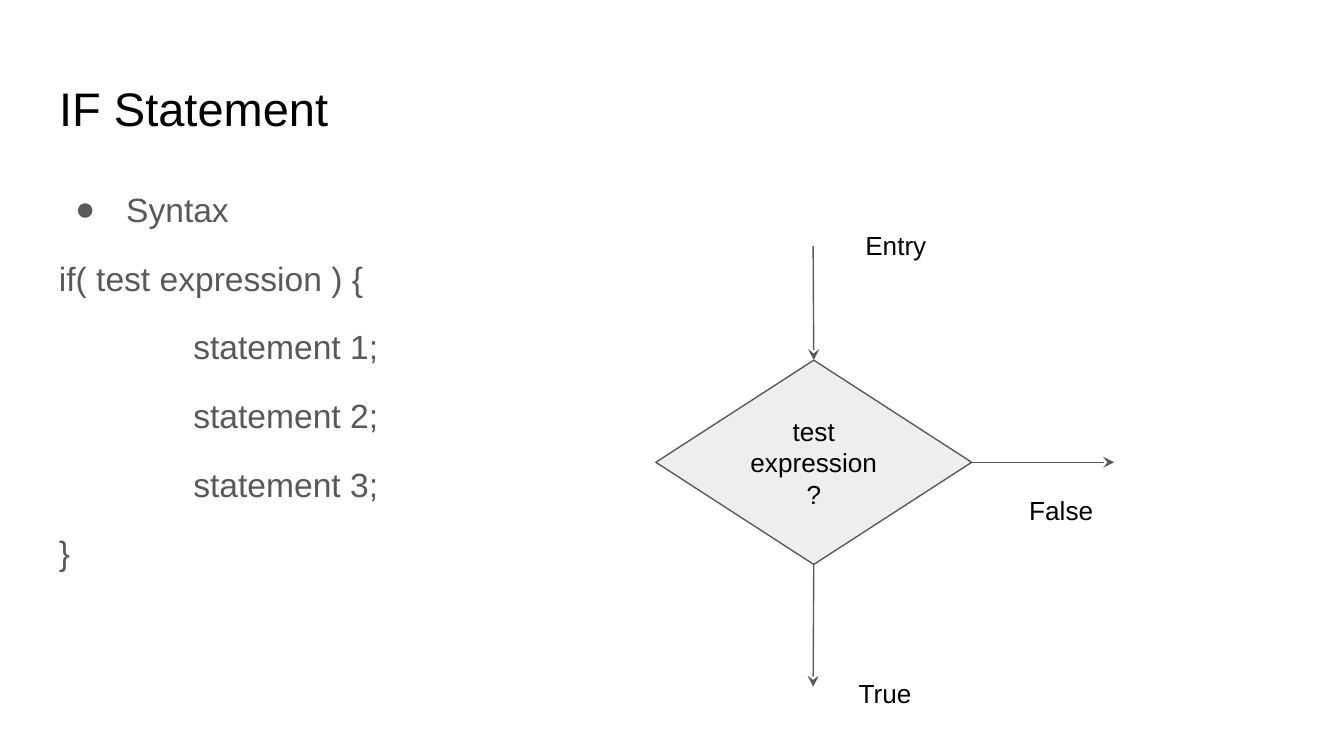
"""Build a slide on the IF statement with its syntax and flowchart."""
from lxml import etree
from pptx import Presentation
from pptx.dml.color import RGBColor
from pptx.enum.shapes import MSO_CONNECTOR, MSO_SHAPE
from pptx.enum.text import MSO_ANCHOR, MSO_AUTO_SIZE, PP_ALIGN
from pptx.oxml.ns import qn
from pptx.util import Inches, Pt

STRAIGHT = MSO_CONNECTOR.STRAIGHT
DIAMOND = MSO_SHAPE.DIAMOND
TOP, MIDDLE = MSO_ANCHOR.TOP, MSO_ANCHOR.MIDDLE
LEFT, CENTER = PP_ALIGN.LEFT, PP_ALIGN.CENTER
NO_FIT = MSO_AUTO_SIZE.NONE
COLORS = {"black": "000000", "gray": "595959", "pale": "EEEEEE"}


def set_frame(frame, anchor):
    frame.word_wrap = True
    frame.auto_size = NO_FIT
    frame.vertical_anchor = anchor
    frame.margin_left = frame.margin_right = Inches(0.1)
    frame.margin_top = frame.margin_bottom = Inches(0.1)


def style(paragraph, size, color, align=LEFT):
    paragraph.alignment = align
    for run in paragraph.runs:
        run.font.name = "Arial"
        run.font.size = Pt(size)
        run.font.color.rgb = RGBColor.from_string(COLORS[color])


prs = Presentation()
prs.slide_width = Inches(10)
prs.slide_height = prs.slide_width * 9 // 16
slide = prs.slides.add_slide(prs.slide_layouts[5])

title = slide.shapes.title
title.left, title.top = Inches(0.34), Inches(0.49)
title.width, title.height = Inches(9.32), Inches(0.63)
title.text_frame.text = "IF Statement"
set_frame(title.text_frame, TOP)
style(title.text_frame.paragraphs[0], 25.2, "black")

syntax = slide.shapes.add_textbox(Inches(0.34), Inches(1.26), Inches(9.32), Inches(3.74))
set_frame(syntax.text_frame, TOP)
syntax.text_frame.text = "\n".join([
    "Syntax",
    "if( test expression ) {",
    "\tstatement 1;",
    "\tstatement 2;",
    "\tstatement 3;",
    "}",
])
for number, line in enumerate(syntax.text_frame.paragraphs):
    line.line_spacing = 1.15
    line.space_before = Pt(12 if number else 0)
    props = line._p.get_or_add_pPr()
    if number == 0:
        props.set("marL", str(Inches(0.5)))
        props.set("indent", str(Inches(-0.38)))
        bullet_color = etree.SubElement(props, qn("a:buClr"))
        etree.SubElement(bullet_color, qn("a:srgbClr"), val=COLORS["gray"])
        etree.SubElement(props, qn("a:buSzPts"), val="1800")
        etree.SubElement(props, qn("a:buFont"), typeface="Arial")
        etree.SubElement(props, qn("a:buChar"), char="●")
    elif line.text.startswith("\t"):
        tabs = etree.SubElement(props, qn("a:tabLst"))
        etree.SubElement(tabs, qn("a:tab"), pos=str(Inches(1)), algn="l")
    style(line, 18, "gray")
line.space_after = Pt(12)

decision = slide.shapes.add_shape(DIAMOND, Inches(4.88), Inches(2.68), Inches(2.35), Inches(1.52))
decision.shadow.inherit = False
decision.fill.solid()
decision.fill.fore_color.rgb = RGBColor.from_string(COLORS["pale"])
decision.line.color.rgb = RGBColor.from_string(COLORS["gray"])
decision.line.width = Pt(0.75)
decision.text_frame.text = "test expression?"
set_frame(decision.text_frame, MIDDLE)
style(decision.text_frame.paragraphs[0], 14, "black", CENTER)

branches = [
    ("Entry", 6.34, 1.61, 0, 6.05, 1.83),
    ("False", 7.56, 3.58, 3, 8.29, 3.44),
    ("True", 6.29, 4.94, 2, 6.05, 5.11),
]
for name, left, top, site, free_x, free_y in branches:
    free_end = Inches(free_x), Inches(free_y)
    arrow = slide.shapes.add_connector(STRAIGHT, *free_end, *free_end)
    if name == "Entry":
        arrow.end_connect(decision, site)
    else:
        arrow.begin_connect(decision, site)
    arrow.line.color.rgb = RGBColor.from_string(COLORS["gray"])
    arrow.line.width = Pt(0.75)
    etree.SubElement(arrow.line._get_or_add_ln(), qn("a:tailEnd"), type="stealth")
    etree.SubElement(arrow._element.spPr, qn("a:effectLst"))

    label = slide.shapes.add_textbox(Inches(left), Inches(top), Inches(5.14), Inches(0.44))
    label.text_frame.text = name
    set_frame(label.text_frame, TOP)
    style(label.text_frame.paragraphs[0], 14, "black")

prs.save("out.pptx")
